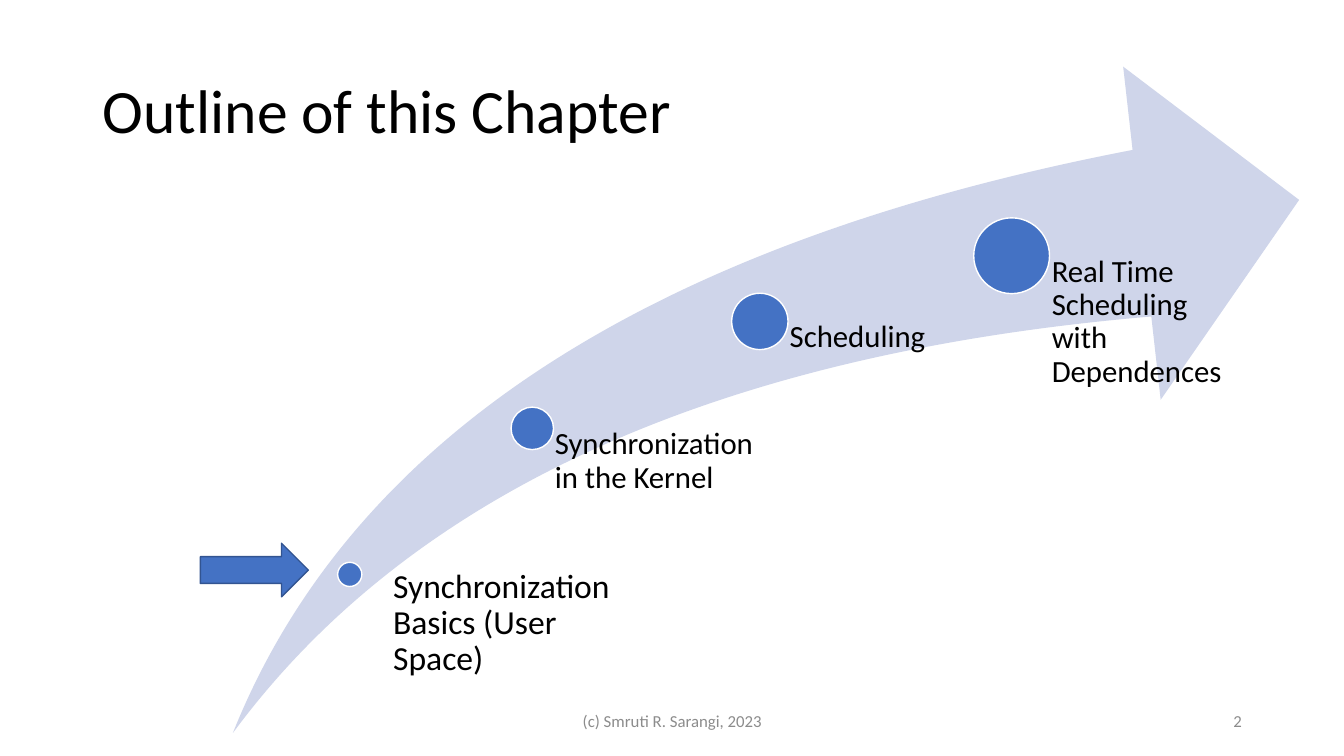
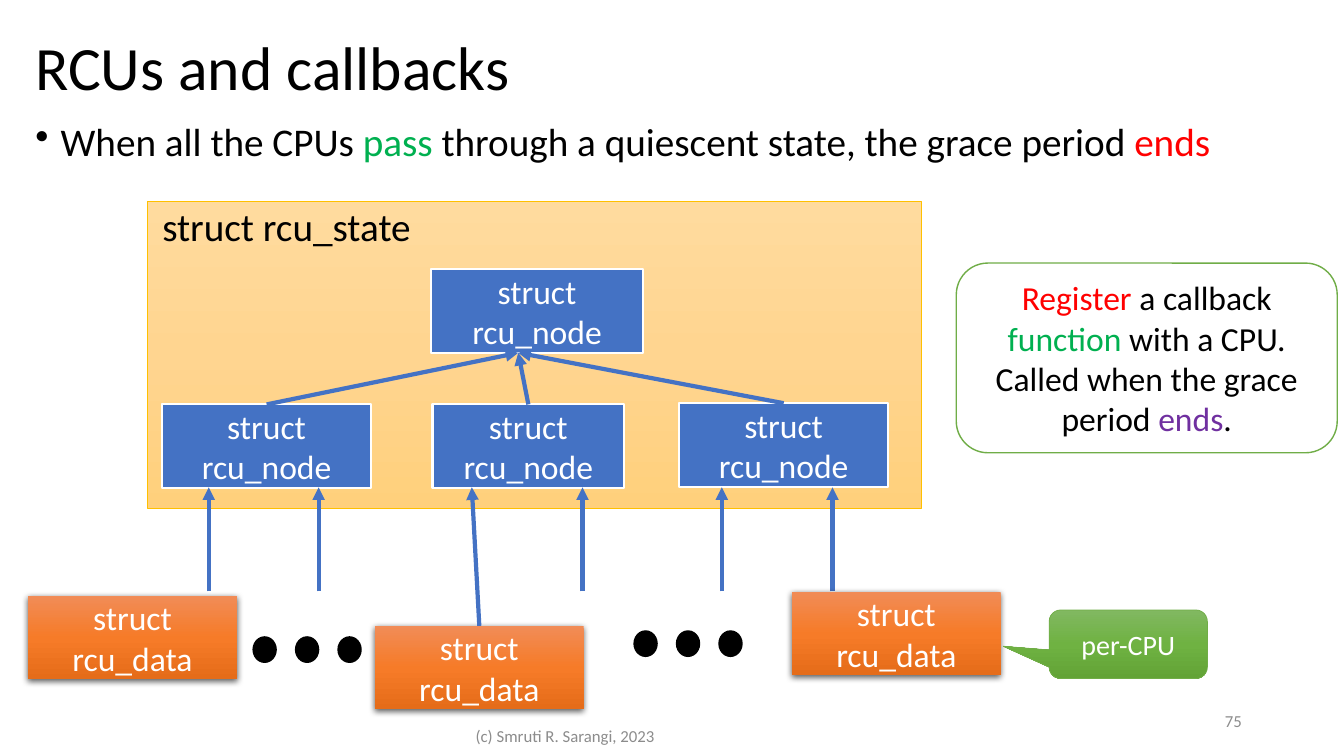
"""Build two lecture slides: a chapter outline and the RCU callback tree."""

import copy
import dataclasses
import typing

import lxml.etree
import pptx
import pptx.dml.color
import pptx.enum.shapes
import pptx.enum.text
import pptx.oxml.ns
import pptx.presentation
import pptx.shapes.autoshape
import pptx.shapes.connector
import pptx.slide
import pptx.text.text
import pptx.util

Cm = pptx.util.Cm
Pt = pptx.util.Pt
qn = pptx.oxml.ns.qn
Kind = pptx.enum.shapes.MSO_SHAPE
Align = pptx.enum.text.PP_ALIGN
Anchor = pptx.enum.text.MSO_ANCHOR
Slide = pptx.slide.Slide
Shape = pptx.shapes.autoshape.Shape

FONT = "Calibri"
BLACK, WHITE, GREY = "000000", "FFFFFF", "8C8C8C"
BLUE, DARK_BLUE, PALE_BLUE = "4472C4", "325491", "CFD5EA"
RED, GREEN, PURPLE = "FF0000", "00B050", "7030A0"
LEAF, GOLD = "70AD47", "FFC000"
YELLOW_FADE = ("FFDB9E", "FFD590", "FFD07C")
ORANGE_FADE = ("F18C57", "F67B28", "E56C19")
GREEN_FADE = ("81B861", "6FB242", "62A336")
COPYRIGHT = "(c) Smruti R. Sarangi, 2023"


class Area(typing.NamedTuple):
    left: float
    top: float
    width: float
    height: float


class Span(typing.NamedTuple):
    text: str
    colour: str = BLACK


@dataclasses.dataclass(frozen=True)
class Milestone:
    text: str
    left: float
    top: float
    diameter: float
    label_width: float = 5.64
    size: int = 22
    shift: tuple[float, float] = (0, 0)


MILESTONES = (
    Milestone("Synchronization Basics (User Space)", 8.51, 14.17, 0.61, 6.02, 24, (0.77, -0.13)),
    Milestone("Synchronization in the Kernel", 12.88, 10.26, 1.07),
    Milestone("Scheduling", 18.44, 7.39, 1.42),
    Milestone("Real Time Scheduling with Dependences", 24.54, 5.49, 1.91),
)
LABEL_BOTTOM = 18.49

ROOT_NODE = Area(10.87, 6.78, 5.33, 2.11)
LEAF_NODES = (
    Area(4.09, 10.19, 5.26, 2.11),
    Area(10.9, 10.19, 4.83, 2.11),
    Area(17.12, 10.16, 5.26, 2.11),
)
DATA_BOXES = (
    Area(0.71, 15.01, 5.26, 2.11),
    Area(19.96, 14.91, 5.26, 2.11),
    Area(9.45, 15.77, 5.26, 2.11),
)
ROOT_TARGET = (13.06, 8.89)
ARROW_BOTTOM, ARROW_TOP = 14.9, 12.28
ARROW_COLUMNS = (5.26, 8.03, 14.68, 18.19, 20.98)
DOT_GROUPS = ((6.38, 16.05), (15.98, 15.9))
DOT_PITCH = 1.07


def rgb(colour: str) -> pptx.dml.color.RGBColor:
    return pptx.dml.color.RGBColor.from_string(colour)


def write_text(
    frame: pptx.text.text.TextFrame,
    content: str | typing.Sequence[Span],
    *,
    size: float,
    colour: str = BLACK,
    align: Align = Align.LEFT,
    anchor: Anchor = Anchor.TOP,
    spacing: float = 1,
    wrap: bool = True,
    bullet: bool = False,
) -> None:
    frame.word_wrap = wrap
    frame.vertical_anchor = anchor
    para = frame.paragraphs[0]
    para.alignment = align
    para.line_spacing = spacing
    if bullet:
        properties = para._p.get_or_add_pPr()
        properties.set("marL", str(Cm(0.64)))
        properties.set("indent", str(-Cm(0.64)))
        lxml.etree.SubElement(properties, qn("a:buChar")).set("char", "•")
    spans = [Span(content, colour)] if isinstance(content, str) else content
    for span in spans:
        run = para.add_run()
        run.text = span.text
        run.font.name = FONT
        run.font.size = Pt(size)
        run.font.color.rgb = rgb(span.colour)


def add_label(
    page: Slide, area: Area, content: str | typing.Sequence[Span], **text_format: typing.Any
) -> Shape:
    box = page.shapes.add_textbox(*map(Cm, area))
    write_text(box.text_frame, content, **text_format)
    return box


def fade(shape: Shape, colours: typing.Sequence[str]) -> None:
    shape.fill.gradient()
    shape.fill.gradient_angle = 270
    stop_list = shape._element.spPr.find(qn("a:gradFill")).find(qn("a:gsLst"))
    stop_list.append(copy.deepcopy(stop_list[0]))
    for index, (stop, colour) in enumerate(zip(shape.fill.gradient_stops, colours)):
        stop.position = index / (len(colours) - 1)
        stop.color.rgb = rgb(colour)


def add_shape(
    page: Slide,
    kind: Kind,
    area: Area,
    fill: str | typing.Sequence[str],
    *,
    line: str | None = None,
    line_width: float = 1,
    adjustments: typing.Sequence[float] = (),
) -> Shape:
    shape = page.shapes.add_shape(kind, *map(Cm, area))
    shape.shadow.inherit = False
    if isinstance(fill, str):
        shape.fill.solid()
        shape.fill.fore_color.rgb = rgb(fill)
    else:
        fade(shape, fill)
    if line is None:
        shape.line.fill.background()
    else:
        shape.line.color.rgb = rgb(line)
        shape.line.width = Pt(line_width)
    for index, value in enumerate(adjustments):
        shape.adjustments[index] = value
    return shape


def write_centred(
    shape: Shape,
    content: str | typing.Sequence[Span],
    size: float = 24,
) -> None:
    write_text(
        shape.text_frame, content, size=size, colour=WHITE, align=Align.CENTER, anchor=Anchor.MIDDLE
    )


def drop_shadow(shape: Shape) -> None:
    effects = shape._element.spPr.find(qn("a:effectLst"))
    shadow = lxml.etree.SubElement(effects, qn("a:outerShdw"))
    shadow.set("blurRad", str(Pt(4.5)))
    shadow.set("dist", str(Pt(1.5)))
    shadow.set("dir", "5400000")
    shadow.set("algn", "ctr")
    shadow.set("rotWithShape", "0")
    colour = lxml.etree.SubElement(shadow, qn("a:srgbClr"))
    colour.set("val", BLACK)
    lxml.etree.SubElement(colour, qn("a:alpha")).set("val", "63000")


def add_arrow(
    page: Slide, start: tuple[float, float], end: tuple[float, float], source: Shape | None = None
) -> pptx.shapes.connector.Connector:
    arrow = page.shapes.add_connector(
        pptx.enum.shapes.MSO_CONNECTOR.STRAIGHT, *map(Cm, (*start, *end))
    )
    arrow.line.color.rgb = rgb(BLUE)
    arrow.line.width = Pt(3)
    properties = arrow._element.spPr
    lxml.etree.SubElement(properties.find(qn("a:ln")), qn("a:tailEnd")).set("type", "triangle")
    lxml.etree.SubElement(properties, qn("a:effectLst"))
    if source is not None:
        arrow.begin_connect(source, 0)
    return arrow


def top_middle(area: Area) -> tuple[float, float]:
    return area.left + area.width / 2, area.top


def add_page(
    deck: pptx.presentation.Presentation,
    title: str,
    number: int,
    title_at: tuple[float, float],
    footer_at: tuple[float, float],
) -> Slide:
    page = deck.slides.add_slide(deck.slide_layouts[6])
    add_label(page, Area(*title_at, 29.21, 3.68), title, size=44, anchor=Anchor.MIDDLE, spacing=0.9)
    footers = (
        (Area(*footer_at, 11.43, 1.02), COPYRIGHT, Align.CENTER),
        (Area(23.93, 17.65, 7.62, 1.02), str(number), Align.RIGHT),
    )
    for area, text, align in footers:
        add_label(page, area, text, size=12, colour=GREY, align=align, anchor=Anchor.MIDDLE)
    return page


def build_outline(deck: pptx.presentation.Presentation) -> None:
    page = add_page(deck, "Outline of this Chapter", 2, (2.34, 1.02), (11.23, 17.65))
    swoosh = Area(5.87, 1.68, 26.87, 16.79)
    add_shape(page, Kind.SWOOSH_ARROW, swoosh, PALE_BLUE, adjustments=(0.25, 0.25))
    for stone in MILESTONES:
        circle = Area(stone.left, stone.top, stone.diameter, stone.diameter)
        add_shape(page, Kind.OVAL, circle, BLUE, line=WHITE)
        left = stone.left + stone.diameter / 2 + stone.shift[0]
        top = stone.top + stone.diameter / 2 + stone.shift[1]
        area = Area(left, top, stone.label_width, LABEL_BOTTOM - top)
        label = add_label(page, area, stone.text, size=stone.size, spacing=0.9)
        frame = label.text_frame
        frame.margin_left = Cm(0.53 * stone.diameter)
        frame.margin_top = frame.margin_right = frame.margin_bottom = 0
    add_shape(page, Kind.RIGHT_ARROW, Area(5.05, 13.69, 2.72, 1.35), BLUE, line=DARK_BLUE)


def build_callbacks(deck: pptx.presentation.Presentation) -> None:
    page = add_page(deck, "RCUs and callbacks", 75, (0.64, -0.05), (8.53, 18.03))
    statement = (
        Span("When all the CPUs "),
        Span("pass", GREEN),
        Span(" through a quiescent state, the grace period "),
        Span("ends", RED),
    )
    add_label(page, Area(0.64, 2.97, 31.39, 2.54), statement, size=28, spacing=0.9, bullet=True)

    state = Area(3.71, 5.08, 19.51, 7.72)
    add_shape(page, Kind.RECTANGLE, state, YELLOW_FADE, line=GOLD, line_width=0.5)
    add_label(page, Area(3.84, 4.98, 6.86, 1.45), "struct rcu_state", size=28, wrap=False)

    nodes = []
    for area in (ROOT_NODE, *LEAF_NODES):
        node = add_shape(page, Kind.RECTANGLE, area, BLUE, line=WHITE, line_width=1.5)
        write_centred(node, "struct rcu_node")
        nodes.append(node)
    for area, node in zip(LEAF_NODES, nodes[1:]):
        add_arrow(page, top_middle(area), ROOT_TARGET, node)
    for column in ARROW_COLUMNS:
        add_arrow(page, (column, ARROW_BOTTOM), (column, ARROW_TOP))

    for area in DATA_BOXES:
        data_box = add_shape(page, Kind.RECTANGLE, area, ORANGE_FADE)
        drop_shadow(data_box)
        write_centred(data_box, "struct rcu_data")
    add_arrow(page, top_middle(DATA_BOXES[-1]), (11.89, ARROW_TOP), data_box)

    for left, top in DOT_GROUPS:
        for index in range(3):
            dot = Area(left + index * DOT_PITCH, top, 0.58, 0.64)
            add_shape(page, Kind.OVAL, dot, BLACK, line=BLACK)

    note = add_shape(page, Kind.ROUNDED_RECTANGLE, Area(24.1, 6.63, 9.6, 4.78), WHITE, line=LEAF)
    explanation = (
        Span("Register", RED),
        Span(" a callback "),
        Span("function", GREEN),
        Span(" with a CPU. Called when the grace period "),
        Span("ends", PURPLE),
        Span("."),
    )
    write_centred(note, explanation)
    callout = add_shape(
        page, Kind.ROUNDED_RECTANGULAR_CALLOUT, Area(26.44, 15.37, 3.99, 1.73), GREEN_FADE,
        line=LEAF, line_width=0.5, adjustments=(-0.79, 0.03, 0.17),
    )
    write_centred(callout, "per-CPU", 20)


def main() -> None:
    deck = pptx.Presentation()
    deck.slide_width, deck.slide_height = Cm(33.87), Cm(19.05)
    build_outline(deck)
    build_callbacks(deck)
    deck.save("out.pptx")


if __name__ == "__main__":
    main()
